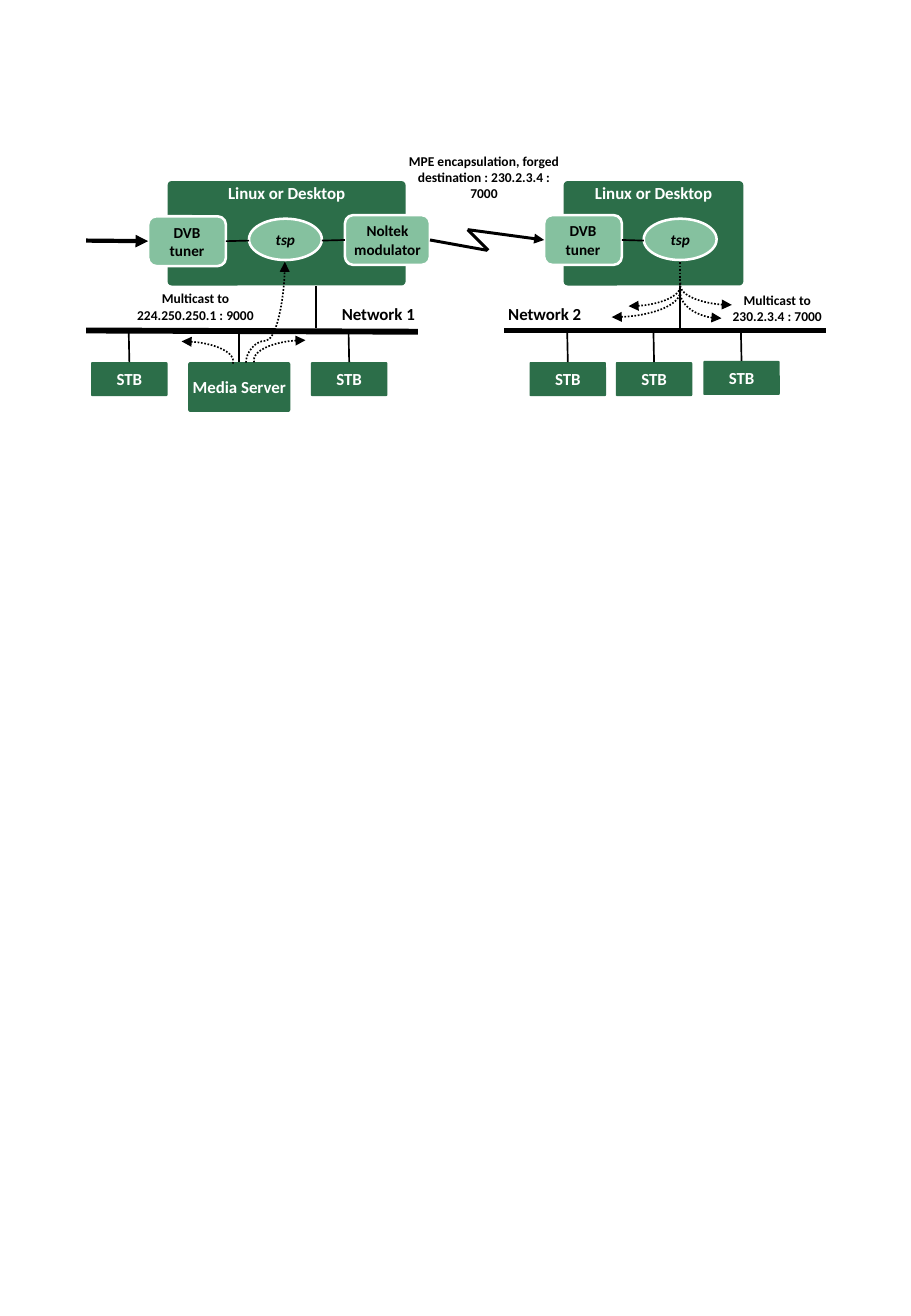
from dataclasses import dataclass

import lxml.etree
import pptx
import pptx.dml.color
import pptx.enum.dml
import pptx.enum.shapes
import pptx.enum.text
import pptx.oxml.ns
import pptx.util

PX = 9144  # one px is a hundredth of an inch
FONT = "Calibri"
COLORS = {"dark": "2C6E49", "light": "85C19F", "white": "FFFFFF", "black": "000000"}
TOP, LEFT, BOTTOM, RIGHT = range(4)
SHAPE = pptx.enum.shapes.MSO_SHAPE
CONNECTOR = pptx.enum.shapes.MSO_CONNECTOR
ANCHOR = pptx.enum.text.MSO_ANCHOR
qn = pptx.oxml.ns.qn


@dataclass(frozen=True)
class Style:
    preset: int
    fill: str
    ink: str
    size: int
    insets: tuple[int, int, int, int]
    anchor: int = ANCHOR.MIDDLE
    outline: bool = False
    corner: float | None = None
    italic: bool = False


@dataclass(frozen=True)
class Box:
    name: str
    lines: tuple[str, ...]
    x: int
    y: int
    w: int
    h: int
    style: Style


@dataclass(frozen=True)
class Label:
    text: str
    x: int
    y: int
    w: int
    h: int
    size: int = 8
    right_inset: int = 4


@dataclass(frozen=True)
class Link:
    start: tuple[int, int]
    end: tuple[int, int]
    width: float = 1
    join: tuple[str, int] | None = None
    head: bool = False
    dotted: bool = False


@dataclass(frozen=True)
class Arc:
    x: int
    y: int
    w: int
    h: int
    flips: str = ""
    start: float = 162


HOST = Style(SHAPE.ROUNDED_RECTANGLE, "dark", "white", 10, (0, 0, 0, 5), ANCHOR.TOP, corner=0.04)
NODE = Style(SHAPE.ROUNDED_RECTANGLE, "dark", "white", 10, (0, 0, 0, 0), corner=0.04)
DEVICE = Style(SHAPE.ROUNDED_RECTANGLE, "light", "black", 9, (0, 5, 0, 5), outline=True)
PROCESS = Style(SHAPE.OVAL, "light", "black", 9, (0, 5, 0, 5), outline=True, italic=True)

STBS = [Box(f"stb {x}", ("STB",), x, y, 63, 28, NODE)
        for x, y in ((75, 298), (256, 298), (436, 298), (507, 298), (579, 297))]
SERVER = Box("server", ("Media Server",), 155, 298, 84, 41, NODE)
BOXES = [
    Box("sender", ("Linux or Desktop",), 138, 149, 196, 86, HOST),
    Box("receiver", ("Linux or Desktop",), 464, 149, 148, 86, HOST),
    Box("tuner in", ("DVB", "tuner"), 122, 178, 64, 41, DEVICE),
    Box("tsp in", ("tsp",), 205, 180, 60, 34, PROCESS),
    Box("modulator", ("Noltek modulator",), 284, 177, 70, 41, DEVICE),
    Box("tuner out", ("DVB", "tuner"), 448, 177, 64, 41, DEVICE),
    Box("tsp out", ("tsp",), 530, 180, 60, 34, PROCESS),
    *STBS, SERVER,
]
DROPS = [Link((b.x + b.w // 2, b.y), (b.x + b.w // 2, 274), join=(b.name, TOP))
         for b in (*STBS, SERVER)]
LINKS = [
    Link((71, 272), (344, 273), 3.5),
    Link((415, 272), (680, 272), 3.5),
    *DROPS,
    Link((260, 270), (260, 235)),
    Link((560, 270), (560, 235)),
    Link((124, 198), (71, 198), 2.5, ("tuner in", LEFT), head=True),
    Link((186, 198), (205, 198), join=("tuner in", RIGHT)),
    Link((284, 198), (265, 198), join=("modulator", LEFT)),
    Link((512, 198), (530, 198), join=("tuner out", RIGHT)),
    Link((354, 198), (401, 206), 1.75, ("modulator", RIGHT)),
    Link((402, 206), (385, 189), 1.75),
    Link((448, 198), (385, 189), 1.75, ("tuner out", LEFT), head=True),
    Link((560, 216), (560, 233), dotted=True),
]
ARCS = [
    Arc(209, 280, 85, 33, "H"),
    Arc(107, 281, 85, 33),
    Arc(560, 218, 85, 33, "HV"),
    Arc(475, 219, 85, 33, "V"),
    Arc(448, 219, 112, 42, "V", 161.44),
    Arc(560, 219, 68, 43, "HV"),
]
LABELS = [
    Label("Network 1", 275, 250, 77, 34, 10),
    Label("Network 2", 412, 250, 77, 34, 10),
    Label("Multicast to 224.250.250.1 : 9000", 102, 239, 122, 27),
    Label("Multicast to 230.2.3.4 : 7000", 593, 240, 94, 27, right_inset=0),
    Label("MPE encapsulation, forged destination : 230.2.3.4 : 7000", 336, 126, 129, 40),
]


def px(*lengths: int) -> list[int]:
    return [n * PX for n in lengths]


def rgb(name: str) -> pptx.dml.color.RGBColor:
    return pptx.dml.color.RGBColor.from_string(COLORS[name])


def write(tf, lines: tuple[str, ...], size: int, ink: str,
          insets: tuple[int, int, int, int], italic: bool = False) -> None:
    tf.word_wrap = True
    tf.margin_left, tf.margin_top, tf.margin_right, tf.margin_bottom = px(*insets)
    for i, line in enumerate(lines):
        p = tf.add_paragraph() if i else tf.paragraphs[0]
        p.alignment = pptx.enum.text.PP_ALIGN.CENTER
        r = p.add_run()
        r.text = line
        r.font.name, r.font.size = FONT, pptx.util.Pt(size)
        r.font.bold, r.font.italic = True, italic
        r.font.color.rgb = rgb(ink)


def stroke(sp, width: float, dotted: bool = False, arrow: str = "") -> None:
    """Give a black line; arrow is "headEnd", "tailEnd" or nothing."""
    sp.line.color.rgb = rgb("black")
    sp.line.width = pptx.util.Pt(width)
    if dotted:
        sp.line.dash_style = pptx.enum.dml.MSO_LINE.ROUND_DOT
    if arrow:
        ln = sp.element.spPr.find(qn("a:ln"))
        lxml.etree.SubElement(ln, qn(f"a:{arrow}")).set("type", "triangle")


def add_box(shapes, box: Box):
    style = box.style
    sp = shapes.add_shape(style.preset, *px(box.x, box.y, box.w, box.h))
    sp.shadow.inherit = False
    sp.fill.solid()
    sp.fill.fore_color.rgb = rgb(style.fill)
    if style.outline:
        sp.line.color.rgb = rgb("white")
        sp.line.width = pptx.util.Pt(1.5)
    else:
        sp.line.fill.background()
    if style.corner is not None:
        sp.adjustments[0] = style.corner
    sp.text_frame.vertical_anchor = style.anchor
    write(sp.text_frame, box.lines, style.size, style.ink, style.insets, style.italic)
    return sp


def add_link(shapes, link: Link, boxes: dict) -> None:
    sp = shapes.add_connector(CONNECTOR.STRAIGHT, *px(*link.start, *link.end))
    if link.join:
        name, side = link.join
        sp.begin_connect(boxes[name], side)
    stroke(sp, link.width, link.dotted, "headEnd" if link.head else "")
    lxml.etree.SubElement(sp.element.spPr, qn("a:effectLst"))


def add_arc(shapes, arc: Arc) -> None:
    sp = shapes.add_shape(SHAPE.ARC, *px(arc.x, arc.y, arc.w, arc.h))
    sp.adjustments[0], sp.adjustments[1] = arc.start, 1.46
    for axis in arc.flips:
        sp.element.spPr.find(qn("a:xfrm")).set(f"flip{axis}", "1")
    sp.fill.background()
    stroke(sp, 1, True, "headEnd")
    sp.shadow.inherit = False


def add_server_feed(shapes) -> None:
    """Draw the dotted curve that rises from the media server to tsp."""
    sp = shapes.add_connector(CONNECTOR.CURVE, *px(260, 273, 177, 241))
    spPr = sp.element.spPr
    spPr.find(qn("a:xfrm")).set("rot", str(90 * 60000))
    guide = lxml.etree.SubElement(spPr.find(qn("a:prstGeom")).find(qn("a:avLst")), qn("a:gd"))
    guide.set("name", "adj1")
    guide.set("fmla", "val 21700")
    stroke(sp, 1, True, "tailEnd")
    lxml.etree.SubElement(spPr, qn("a:effectLst"))


def add_label(shapes, label: Label) -> None:
    tf = shapes.add_textbox(*px(label.x, label.y, label.w, label.h)).text_frame
    tf.auto_size = pptx.enum.text.MSO_AUTO_SIZE.SHAPE_TO_FIT_TEXT
    write(tf, (label.text,), label.size, "black", (0, 0, label.right_inset, 0))


def main() -> None:
    prs = pptx.Presentation()
    prs.slide_width, prs.slide_height = px(750, 1083)
    shapes = prs.slides.add_slide(prs.slide_layouts[6]).shapes
    boxes = {box.name: add_box(shapes, box) for box in BOXES}
    for link in LINKS:
        add_link(shapes, link, boxes)
    for arc in ARCS:
        add_arc(shapes, arc)
    add_server_feed(shapes)
    for label in LABELS:
        add_label(shapes, label)
    prs.save("out.pptx")


if __name__ == "__main__":
    main()
